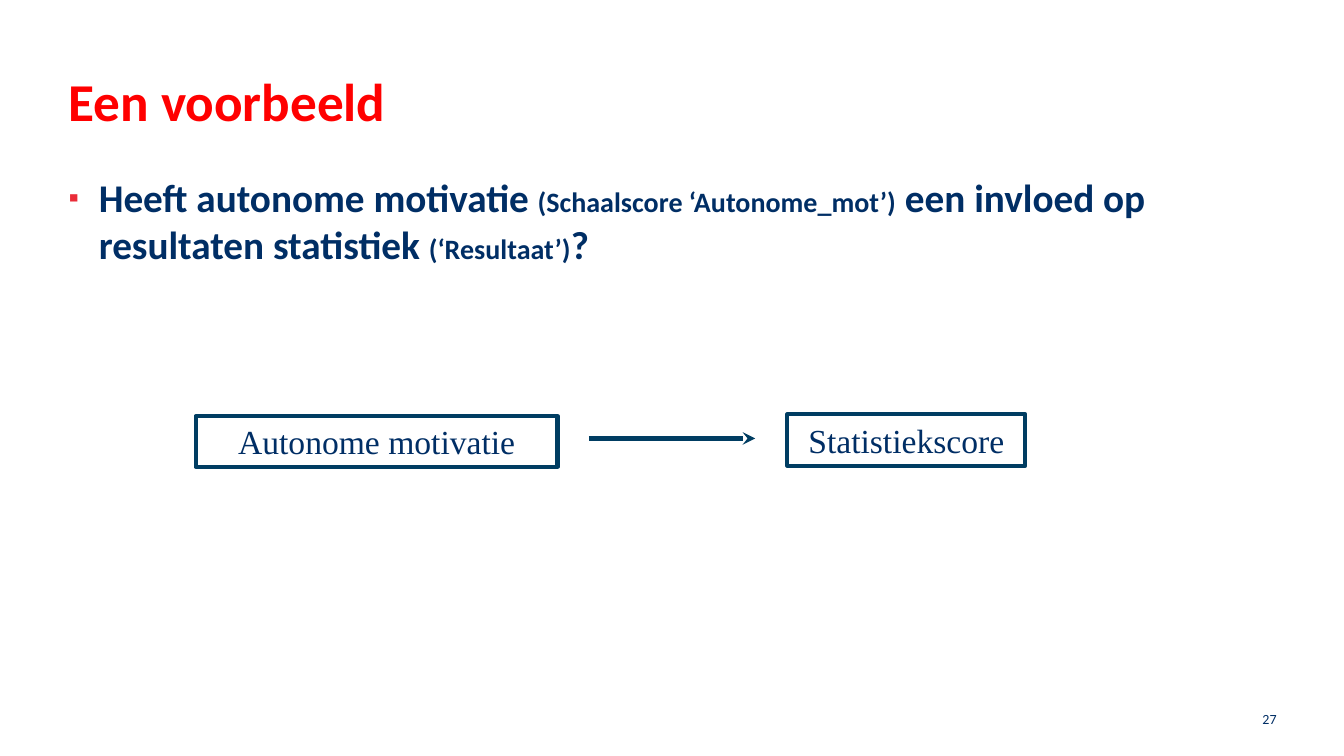
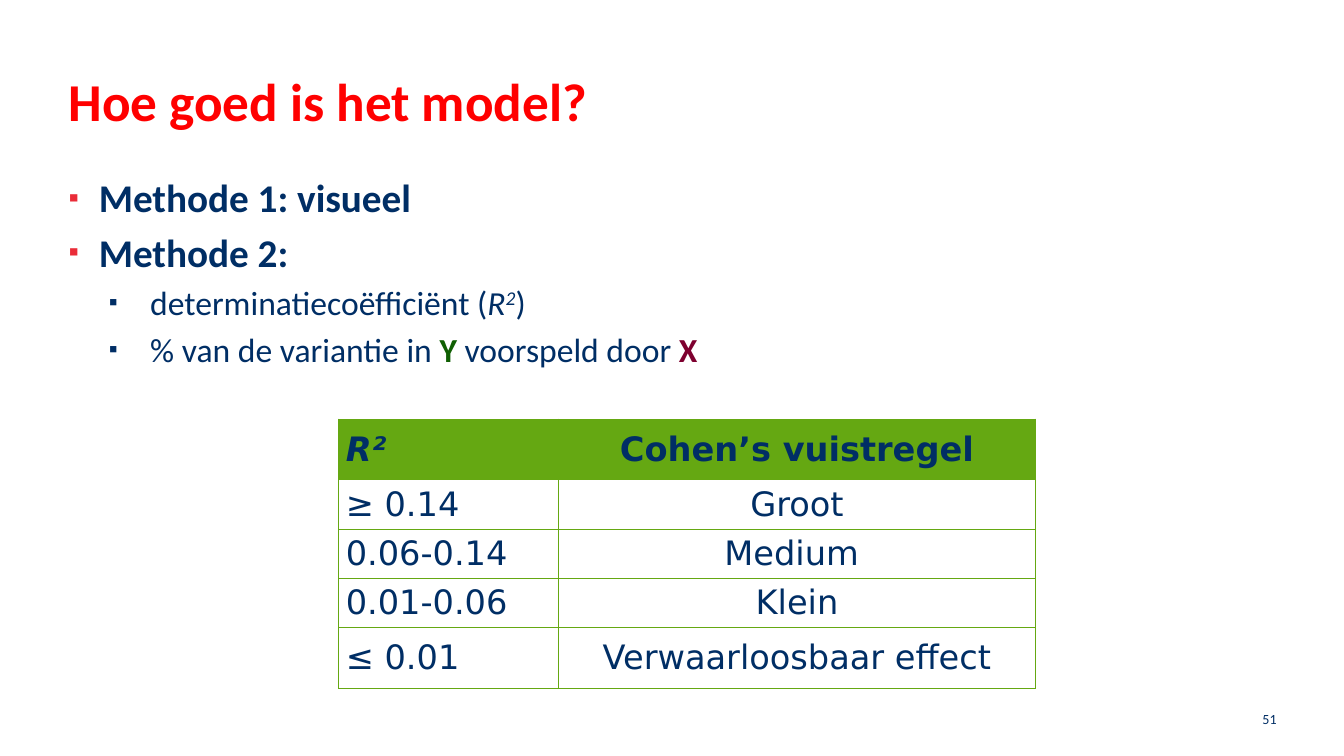
"""Builds two slides on regression: an example model and a rule of thumb for R²."""
from lxml.etree import SubElement
from pptx import Presentation
from pptx.dml.color import RGBColor
from pptx.enum.shapes import MSO_CONNECTOR, MSO_SHAPE
from pptx.enum.text import MSO_ANCHOR, MSO_AUTO_SIZE, PP_ALIGN
from pptx.oxml import parse_xml
from pptx.oxml.ns import nsdecls, qn
from pptx.util import Inches, Pt

NAVY, RED, CORAL, TEAL = "002E65", "FF0000", "EA2C38", "003D62"
GREEN, FOREST, WINE = "65A812", "105F03", "7E002F"
SMALL = {"size": 20}
ITALIC = {"italic": True}
LEVELS = [
    {"size": 28, "bold": True, "left": 0.3, "hang": 0.3, "mark": CORAL},
    {"size": 24, "bold": False, "left": 0.81, "hang": 0.41, "mark": NAVY},
]

EXAMPLE = [
    (0, [("Heeft autonome motivatie ", {}), ("(Schaalscore ‘Autonome_mot’)", SMALL),
         (" een invloed op resultaten statistiek ", {}), ("(‘Resultaat’)", SMALL), ("?", {})]),
]
METHODS = [
    (0, [("Methode 1: visueel", {})]),
    (0, [("Methode 2:", {})]),
    (1, [("determinatiecoëfficiënt (", {}), ("R", ITALIC),
         ("2", {"italic": True, "raised": True}), (")", {})]),
    (1, [("% van de variantie in ", {}), ("Y ", {"color": FOREST, "bold": True}),
         ("voorspeld door ", {}), ("X", {"color": WINE, "bold": True})]),
]
BOXES = [
    ("Autonome motivatie", (1.94, 4.13, 3.59, 0.5)),
    ("Statistiekscore", (7.81, 4.11, 2.36, 0.51)),
]
ARROW = (5.84, 4.35, 7.49, 4.35)
RULES = [
    ("R²", "Cohen’s vuistregel"),
    ("≥ 0.14", "Groot"),
    ("0.06-0.14", "Medium "),
    ("0.01-0.06", "Klein"),
    ("≤ 0.01", "Verwaarloosbaar effect"),
]
WIDTHS = (2.18, 4.73)
HEIGHTS = (0.6, 0.49, 0.49, 0.49, 0.6)


def rgb(code):
    return RGBColor.from_string(code)


def span(*sizes):
    return [Inches(size) for size in sizes]


def write(para, text, size=24, font="Calibri", color=NAVY, bold=False,
          italic=False, raised=False, align=PP_ALIGN.LEFT):
    para.alignment = align
    run = para.add_run()
    run.text = text
    face = run.font
    face.size, face.name, face.bold, face.italic = Pt(size), font, bold, italic
    face.color.rgb = rgb(color)
    if raised:
        run._r.get_or_add_rPr().set("baseline", "30000")


def bullet(para, left, hang, mark):
    props = para._p.get_or_add_pPr()
    props.set("marL", str(Inches(left)))
    props.set("indent", str(-Inches(hang)))
    tint = SubElement(props, qn("a:buClr"))
    SubElement(tint, qn("a:srgbClr"), val=mark)
    SubElement(props, qn("a:buSzPct"), val="75000")
    SubElement(props, qn("a:buChar"), char="▪")


def place(holder, top, height):
    holder.left, holder.top, holder.width, holder.height = span(0.68, top, 11.97, height)
    frame = holder.text_frame
    frame.margin_left = frame.margin_top = frame.margin_right = frame.margin_bottom = 0
    frame.vertical_anchor = MSO_ANCHOR.TOP
    frame.auto_size = MSO_AUTO_SIZE.NONE
    frame.word_wrap = True
    return frame


def add_page(deck, title, items, number):
    slide = deck.slides.add_slide(deck.slide_layouts[1])
    head = place(slide.shapes.title, 0.68, 0.87)
    write(head.paragraphs[0], title, size=38, color=RED, bold=True)
    body = place(slide.placeholders[1], 1.72, 5.1)
    for index, (level, runs) in enumerate(items):
        para = body.add_paragraph() if index else body.paragraphs[0]
        style = LEVELS[level]
        para.level = level
        bullet(para, style["left"], style["hang"], style["mark"])
        para.space_before = Pt(style["size"] * 0.2 if index else 0)
        for text, extra in runs:
            write(para, text, **{"size": style["size"], "bold": style["bold"], **extra})
    foot = slide.shapes.add_textbox(*span(9.76, 6.93, 3, 0.4)).text_frame
    foot.word_wrap = True
    foot.vertical_anchor = MSO_ANCHOR.MIDDLE
    write(foot.paragraphs[0], number, size=10, align=PP_ALIGN.RIGHT)
    return slide


def add_box(slide, text, area):
    box = slide.shapes.add_shape(MSO_SHAPE.RECTANGLE, *span(*area))
    box.shadow.inherit = False
    box.fill.background()
    box.line.color.rgb, box.line.width = rgb(TEAL), Pt(3)
    write(box.text_frame.paragraphs[0], text, font="Times New Roman", align=PP_ALIGN.CENTER)


def add_arrow(slide, ends):
    arrow = slide.shapes.add_connector(MSO_CONNECTOR.STRAIGHT, *span(*ends))
    arrow.line.color.rgb, arrow.line.width = rgb(TEAL), Pt(3)
    SubElement(arrow.line._get_or_add_ln(), qn("a:tailEnd"), type="stealth")
    SubElement(arrow._element.spPr, qn("a:effectLst"))


def border(cell):
    props = cell._tc.get_or_add_tcPr()
    for index, side in enumerate("LRTB"):
        props.insert(index, parse_xml(
            f'<a:ln{side} {nsdecls("a")} w="{Pt(1)}"><a:solidFill>'
            f'<a:srgbClr val="{GREEN}"/></a:solidFill></a:ln{side}>'))


def add_rules(slide):
    area = span(3.36, 4.16, sum(WIDTHS), sum(HEIGHTS))
    table = slide.shapes.add_table(len(RULES), len(WIDTHS), *area).table
    for column, width in zip(table.columns, WIDTHS):
        column.width = Inches(width)
    for row, height in zip(table.rows, HEIGHTS):
        row.height = Inches(height)
    for top, texts in enumerate(RULES):
        for side, text in enumerate(texts):
            cell = table.cell(top, side)
            cell.margin_left = cell.margin_right = Inches(0.07)
            cell.margin_top = cell.margin_bottom = 0
            cell.vertical_anchor = MSO_ANCHOR.MIDDLE
            if top:
                cell.fill.background()
            else:
                cell.fill.solid()
                cell.fill.fore_color.rgb = rgb(GREEN)
            border(cell)
            write(cell.text_frame.paragraphs[0], text, font="DejaVu Sans",
                  bold=top == 0, italic=top == side == 0,
                  align=PP_ALIGN.CENTER if side else PP_ALIGN.LEFT)


def main():
    deck = Presentation()
    deck.slide_width, deck.slide_height = span(13.33, 7.5)
    model = add_page(deck, "Een voorbeeld", EXAMPLE, "27")
    for text, area in BOXES:
        add_box(model, text, area)
    add_arrow(model, ARROW)
    add_rules(add_page(deck, "Hoe goed is het model?", METHODS, "51"))
    deck.save("out.pptx")


if __name__ == "__main__":
    main()
